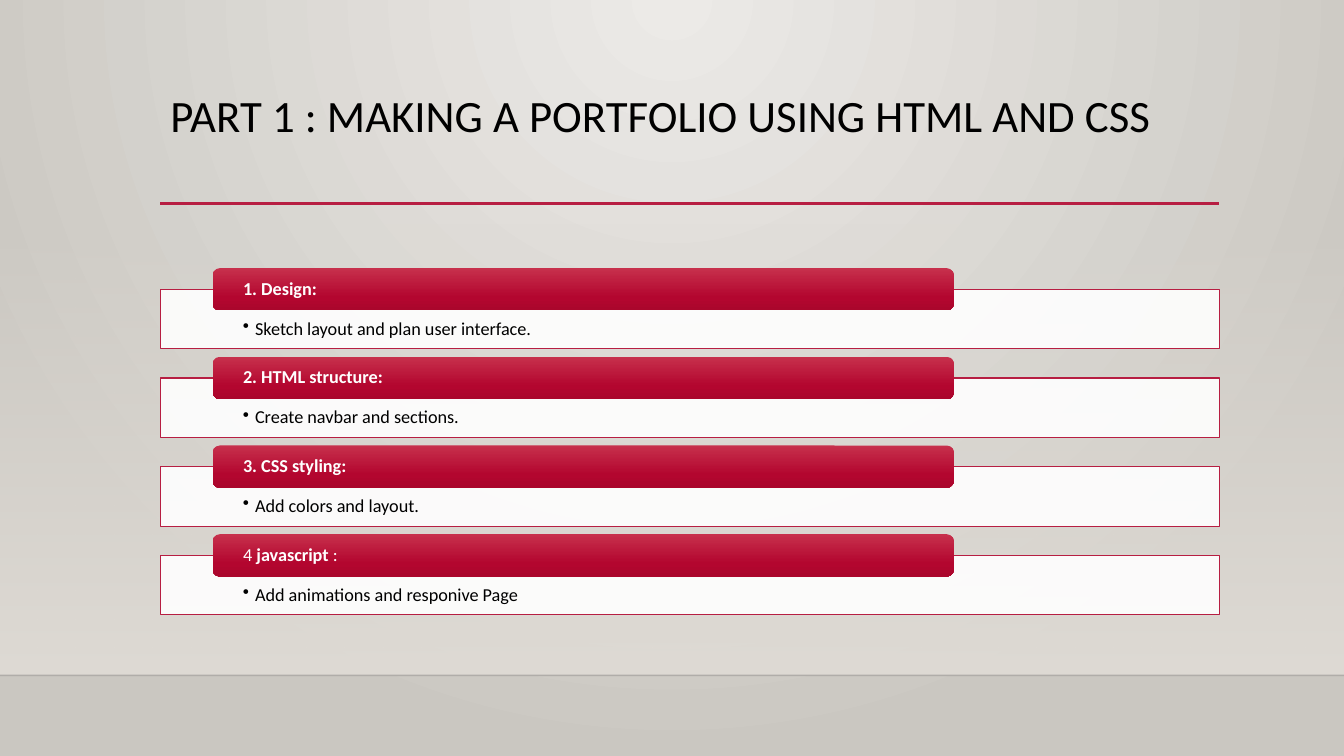
from dataclasses import dataclass

from lxml.etree import SubElement
from pptx import Presentation
from pptx.dml.color import RGBColor
from pptx.enum.shapes import MSO_CONNECTOR, MSO_SHAPE
from pptx.enum.text import MSO_ANCHOR, PP_ALIGN
from pptx.oxml.ns import qn
from pptx.util import Emu, Inches, Pt

WIDTH, HEIGHT = Inches(13.33), Inches(7.5)
CRIMSON, BLACK, WHITE = "B71E42", "000000", "FFFFFF"
MARGIN, CONTENT_WIDTH = 11.93, 78.8
FIRST_STEP_TOP, STEP_PITCH = 35.47, 11.73


@dataclass(frozen=True)
class Run:
    text: str
    bold: bool = False


@dataclass(frozen=True)
class Step:
    heading: tuple[Run, ...]
    detail: str


@dataclass(frozen=True)
class Stop:
    percent: int
    color: str
    opacity: int = 100


STEPS = (
    Step((Run("1. Design:", True),), "Sketch layout and plan user interface."),
    Step((Run("2. HTML structure:", True),), "Create navbar and sections."),
    Step((Run("3. CSS styling:", True),), "Add colors and layout."),
    Step((Run("4"), Run(" javascript", True), Run(" :")), "Add animations and responive Page"),
)
HEADING_STOPS = (Stop(0, "C7304C"), Stop(69, "B3062F"), Stop(100, "AA062C"))
BACKDROP_STOPS = (Stop(0, "ECEAE7"), Stop(100, "CAC7C1"))
WALL_STOPS = (Stop(0, "DFDBD5", 0), Stop(100, "DFDBD5"))


def columns(count: float) -> Emu:
    return Emu(round(WIDTH * count / 100))


def rows(count: float) -> Emu:
    return Emu(round(HEIGHT * count / 100))


def rgb(color: str) -> RGBColor:
    return RGBColor.from_string(color)


def add_opacity(color_element, percent: int) -> None:
    if percent < 100:
        SubElement(color_element, qn("a:alpha"), val=str(percent * 1000))


def paint_gradient(fill, owner, stops: tuple[Stop, ...], radial: bool = False) -> None:
    fill.gradient()
    gradient = owner.find(".//" + qn("a:gradFill"))
    for child in list(gradient):
        gradient.remove(child)
    stop_list = SubElement(gradient, qn("a:gsLst"))
    for stop in stops:
        entry = SubElement(stop_list, qn("a:gs"), pos=str(stop.percent * 1000))
        add_opacity(SubElement(entry, qn("a:srgbClr"), val=stop.color), stop.opacity)
    if radial:
        circle = SubElement(gradient, qn("a:path"), path="circle")
        SubElement(circle, qn("a:fillToRect"), l="43000", t="0", r="43000", b="100000")
    else:
        SubElement(gradient, qn("a:lin"), ang="5400000", scaled="0")


def add_panel(slide, kind, left: float, top: float, width: float, height: float):
    panel = slide.shapes.add_shape(kind, columns(left), rows(top), columns(width), rows(height))
    panel.shadow.inherit = False
    panel.line.fill.background()
    return panel


def add_rule(slide, left: float, right: float, top: float, color: str, weight: float,
             opacity: int = 100) -> None:
    rule = slide.shapes.add_connector(
        MSO_CONNECTOR.STRAIGHT, columns(left), rows(top), columns(right), rows(top))
    rule.line.width = Pt(weight)
    rule.line.color.rgb = rgb(color)
    properties = rule.element.spPr
    add_opacity(properties.find(".//" + qn("a:srgbClr")), opacity)
    SubElement(properties, qn("a:effectLst"))


def write_text(shape, runs: tuple[Run, ...], *, size: float = 13, color: str = BLACK,
               anchor=MSO_ANCHOR.TOP, side: float = 0.75, top: float = 0,
               bottom: float = 0, bullet: bool = False) -> None:
    frame = shape.text_frame
    frame.word_wrap = True
    frame.vertical_anchor = anchor
    frame.margin_left = frame.margin_right = columns(side)
    frame.margin_top, frame.margin_bottom = rows(top), rows(bottom)
    paragraph = frame.paragraphs[0]
    paragraph.alignment = PP_ALIGN.LEFT
    paragraph.line_spacing = 0.9
    if bullet:
        properties = paragraph._p.get_or_add_pPr()
        properties.set("marL", str(columns(0.9)))
        properties.set("indent", str(-columns(0.9)))
        SubElement(properties, qn("a:buChar"), char="•")
    for part in runs:
        run = paragraph.add_run()
        run.text = part.text
        run.font.name = "Calibri"
        run.font.size = Pt(size)
        run.font.bold = part.bold
        run.font.color.rgb = rgb(color)


def add_step(slide, step: Step, top: float) -> None:
    detail = add_panel(slide, MSO_SHAPE.RECTANGLE, MARGIN, top + 2.8, CONTENT_WIDTH, 7.87)
    detail.fill.solid()
    detail.fill.fore_color.rgb = rgb(WHITE)
    add_opacity(detail.element.spPr.find(".//" + qn("a:srgbClr")), 90)
    detail.line.color.rgb = rgb(CRIMSON)
    detail.line.width = Pt(0.75)
    write_text(detail, (Run(step.detail),), side=6.15, top=4, bottom=1.33, bullet=True)

    heading = add_panel(slide, MSO_SHAPE.ROUNDED_RECTANGLE, 15.83, top, 55.14, 5.6)
    paint_gradient(heading.fill, heading.element, HEADING_STOPS)
    write_text(heading, step.heading, color=WHITE, anchor=MSO_ANCHOR.MIDDLE, side=2.1)


def main() -> None:
    presentation = Presentation()
    presentation.slide_width, presentation.slide_height = WIDTH, HEIGHT
    slide = presentation.slides.add_slide(presentation.slide_layouts[6])
    paint_gradient(slide.background.fill, slide.element, BACKDROP_STOPS, radial=True)

    wall = add_panel(slide, MSO_SHAPE.RECTANGLE, 0, 29.47, 100, 59.87)
    paint_gradient(wall.fill, wall.element, WALL_STOPS)
    add_rule(slide, 0, 100, 89.33, "000001", 1, opacity=20)
    add_rule(slide, MARGIN, MARGIN + CONTENT_WIDTH, 26.93, CRIMSON, 2.5)

    title = slide.shapes.add_textbox(
        columns(MARGIN), rows(11.73), columns(CONTENT_WIDTH), rows(15.33))
    write_text(title, (Run("PART 1 : MAKING A PORTFOLIO USING HTML AND CSS"),),
               size=32, top=0.67, bottom=0.67)

    for index, step in enumerate(STEPS):
        add_step(slide, step, FIRST_STEP_TOP + index * STEP_PITCH)

    presentation.save("out.pptx")


if __name__ == "__main__":
    main()
